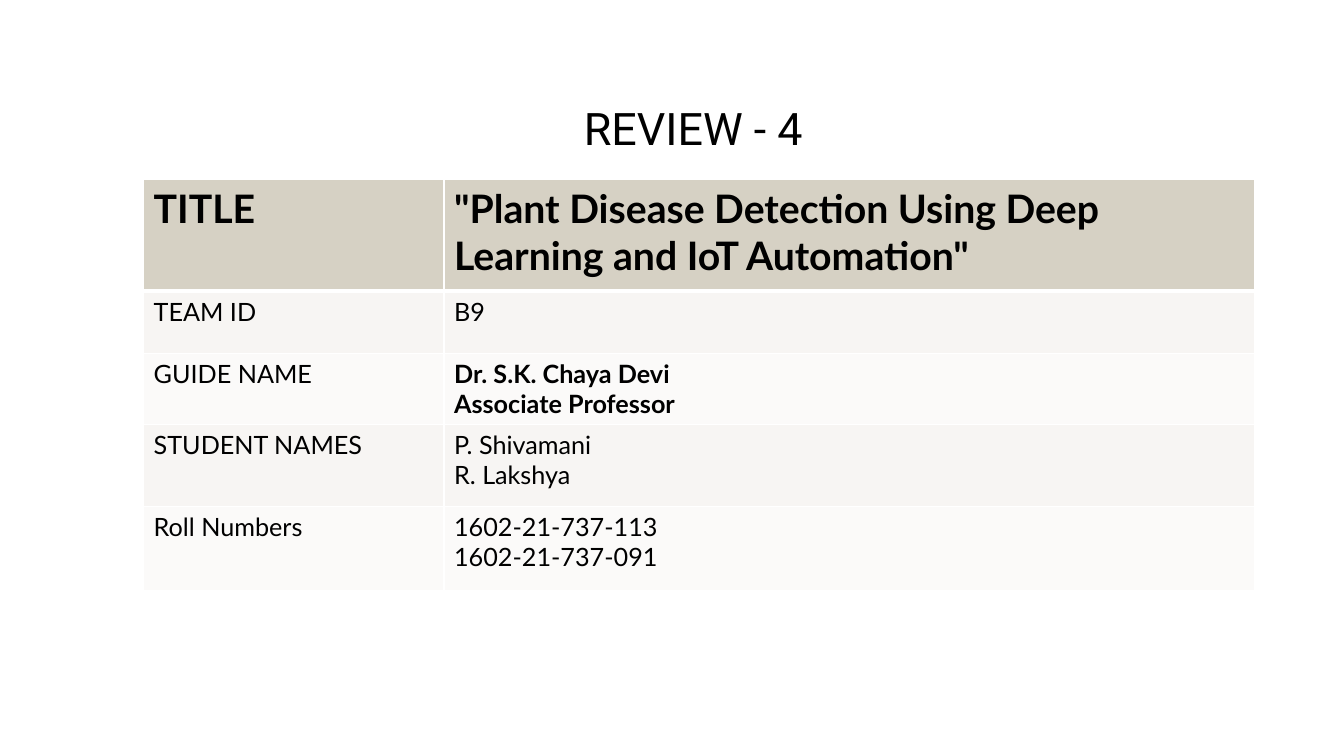
from lxml import etree
from pptx import Presentation, util as u
from pptx.dml.color import RGBColor
from pptx.enum import text
from pptx.oxml import ns

HEADING = "REVIEW - 4"
# label, lines of the entry, entry is bold, row height in cm
ROWS = [
    ("TITLE", ['"Plant Disease Detection Using Deep Learning and IoT Automation"'], True, 2.82),
    ("TEAM ID", ["B9"], False, 1.57),
    ("GUIDE NAME", ["Dr. S.K. Chaya Devi", "Associate Professor"], True, 1.78),
    ("STUDENT NAMES", ["P. Shivamani", "R. Lakshya"], False, 2.08),
    ("Roll Numbers", ["1602-21-737-113", "1602-21-737-091"], False, 2.11),
]
COLUMN_WIDTHS = [7.57, 20.42]
COLORS = {"ink": "000000", "header": "D6D1C4", "odd": "F7F5F3",
          "even": "FBFAF9", "border": "FFFFFF"}


def write_lines(frame, lines, size, font, bold=False, align=text.PP_ALIGN.LEFT):
    for i, line in enumerate(lines):
        para = frame.paragraphs[0] if i == 0 else frame.add_paragraph()
        para.alignment = align
        span = para.add_run()
        span.text = line
        span.font.size = u.Pt(size)
        span.font.name = font
        span.font.bold = bold
        span.font.color.rgb = RGBColor.from_string(COLORS["ink"])


def add_borders(cell, widths):
    """Draw the cell's borders; widths maps each side letter to points."""
    properties = cell._tc.get_or_add_tcPr()
    for side in "LRTB":
        line = etree.SubElement(properties, ns.qn(f"a:ln{side}"), w=str(u.Pt(widths[side])))
        fill = etree.SubElement(line, ns.qn("a:solidFill"))
        etree.SubElement(fill, ns.qn("a:srgbClr"), val=COLORS["border"])


def add_heading(page):
    box = page.shapes.add_textbox(u.Cm(3.38), u.Cm(2.41), u.Cm(28.19), u.Cm(1.63))
    box.text_frame.word_wrap = True
    write_lines(box.text_frame, [HEADING], 32, "Roboto", align=text.PP_ALIGN.CENTER)


def add_details(page):
    heights = [row[-1] for row in ROWS]
    table = page.shapes.add_table(
        len(ROWS), len(COLUMN_WIDTHS), u.Cm(3.62), u.Cm(4.52),
        u.Cm(sum(COLUMN_WIDTHS)), u.Cm(sum(heights))).table
    for column, width in zip(table.columns, COLUMN_WIDTHS):
        column.width = u.Cm(width)
    for r, (label, entry, bold, height) in enumerate(ROWS):
        table.rows[r].height = u.Cm(height)
        header = r == 0
        shade = "header" if header else "odd" if r % 2 else "even"
        widths = {"L": 1, "R": 1, "T": 3 if r == 1 else 1, "B": 3 if header else 1}
        for c, (lines, heavy) in enumerate([([label], header), (entry, bold)]):
            cell = table.cell(r, c)
            add_borders(cell, widths)
            cell.fill.solid()
            cell.fill.fore_color.rgb = RGBColor.from_string(COLORS[shade])
            write_lines(cell.text_frame, lines, 28 if header else 18, "Lato", heavy)


def main():
    deck = Presentation()
    deck.slide_width, deck.slide_height = u.Cm(33.87), u.Cm(19.05)
    page = deck.slides.add_slide(deck.slide_layouts[6])
    add_details(page)
    add_heading(page)
    deck.save("out.pptx")


if __name__ == "__main__":
    main()
